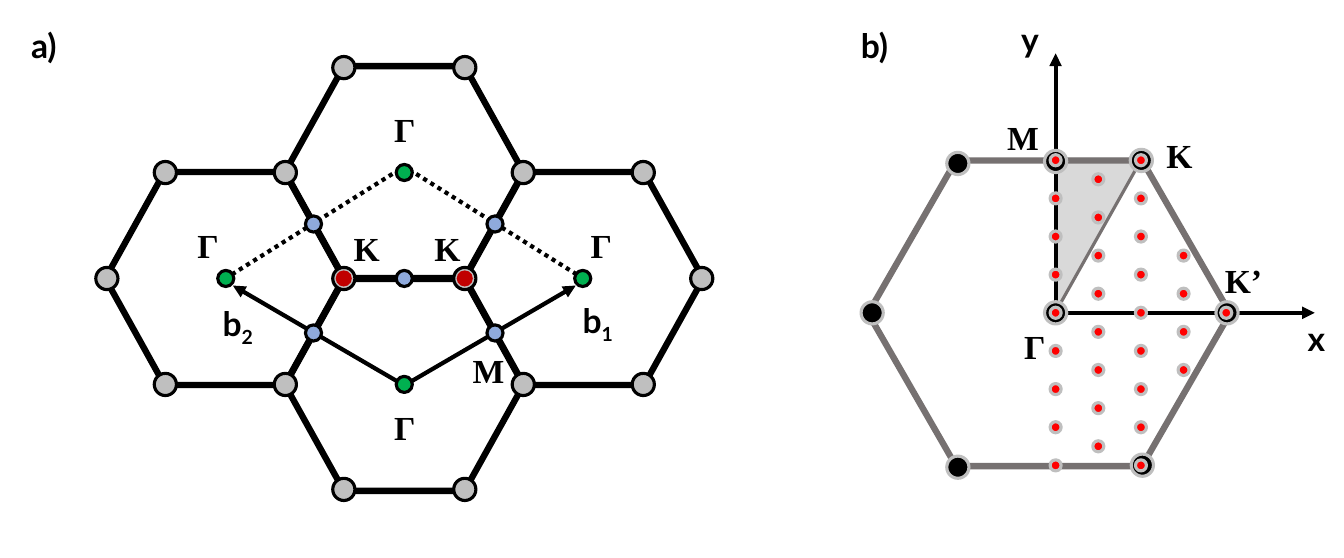
from dataclasses import dataclass
from lxml.etree import SubElement
from pptx import Presentation
from pptx.dml.color import RGBColor
from pptx.enum.dml import MSO_LINE
from pptx.enum.shapes import MSO_CONNECTOR, MSO_SHAPE
from pptx.enum.text import MSO_AUTO_SIZE
from pptx.oxml.ns import qn
from pptx.util import Inches, Pt


@dataclass(frozen=True)
class Theme:
    black: str = "000000"
    gray: str = "BFBFBF"
    pale: str = "D9D9D9"
    edge: str = "767171"
    green: str = "00B050"
    blue: str = "8FAADC"
    dark: str = "C00000"
    red: str = "FF0000"
    sans: str = "Lato"
    serif: str = "Times New Roman"
    size: float = 24
    thin: float = 2.25
    mid: float = 3
    bold: float = 4.5


THEME = Theme()


def mirror(x, y):
    """All distinct reflections of a point in both axes."""
    return sorted({(a, b) for a in (-x, x) for b in (-y, y)})


class Panel:
    """Draws parts by their offset from the centre of a box."""

    def __init__(self, slide, left, top, width, height):
        self.shapes = slide.shapes
        self.x = left + width / 2
        self.y = top + height / 2

    def place(self, x, y):
        return Inches(self.x + x), Inches(self.y + y)

    def shape(self, kind, x, y, width, height, fill=None, line=None, weight=THEME.thin):
        item = self.shapes.add_shape(
            kind, *self.place(x, y), Inches(width), Inches(height))
        item.shadow.inherit = False
        if fill:
            item.fill.solid()
            item.fill.fore_color.rgb = RGBColor.from_string(fill)
        else:
            item.fill.background()
        if line:
            item.line.color.rgb = RGBColor.from_string(line)
            item.line.width = Pt(weight)
        else:
            item.line.fill.background()
        return item

    def dots(self, points, size, fill, line=None):
        for x, y in points:
            self.shape(MSO_SHAPE.OVAL, x - size / 2, y - size / 2,
                       size, size, fill, line)

    def hexagon(self, x, y, width, height, adj, line):
        item = self.shape(MSO_SHAPE.HEXAGON, x, y, width, height,
                          line=line, weight=THEME.bold)
        item.adjustments[0] = adj

    def line(self, start, end, arrow=False):
        item = self.shapes.add_connector(
            MSO_CONNECTOR.STRAIGHT, *self.place(*start), *self.place(*end))
        item.line.color.rgb = RGBColor.from_string(THEME.black)
        item.line.width = Pt(THEME.mid)
        props = item.element.spPr
        if arrow:
            SubElement(props.find(qn("a:ln")), qn("a:tailEnd"), type="triangle")
        else:
            item.line.dash_style = MSO_LINE.ROUND_DOT
        SubElement(props, qn("a:effectLst"))

    def label(self, text, x, y, width, font=THEME.serif, sub=None):
        box = self.shapes.add_textbox(
            *self.place(x, y), Inches(width), Inches(0.5))
        frame = box.text_frame
        frame.word_wrap = False
        frame.auto_size = MSO_AUTO_SIZE.SHAPE_TO_FIT_TEXT
        para = frame.paragraphs[0]
        para.font.name = font
        para.font.size = Pt(THEME.size)
        para.font.bold = True
        para.font.color.rgb = RGBColor.from_string(THEME.black)
        para.add_run().text = text
        if sub:
            run = para.add_run()
            run.text = sub
            run._r.get_or_add_rPr().set("baseline", "-25000")


def draw_cells(slide, *box):
    panel = Panel(slide, *box)

    # Reciprocal cell and its vectors
    for side in (-1, 1):
        panel.line((side * 1.71, -0.04), (side * 0.08, -1.06))
        panel.line((0, 1.06), (side * 1.7, 0.07), arrow=True)

    # Four hexagons
    width, height = 2.37, 2.11
    for x, y in mirror(1.78, 0) + mirror(0, 1.05):
        panel.hexagon(x - width / 2, y - height / 2, width, height,
                      0.278, THEME.black)

    # Corners, centres, edge midpoints and K points
    for x, y in ((1.18, 1.05), (2.37, 1.05), (0.6, 2.09), (2.95, 0), (0.6, 0)):
        panel.dots(mirror(x, y), 0.22, THEME.gray, THEME.black)
    panel.dots(mirror(0, 1.05) + mirror(1.77, 0), 0.16, THEME.green, THEME.black)
    panel.dots([(0, 0)] + mirror(0.9, 0.54), 0.16, THEME.blue, THEME.black)
    panel.dots(mirror(0.6, 0), 0.16, THEME.dark)

    # Labels
    panel.label("a)", -3.8, -2.56, 0.56, THEME.sans)
    panel.label("b", 1.67, 0.16, 0.56, THEME.sans, "1")
    panel.label("b", -1.9, 0.19, 0.56, THEME.sans, "2")
    for x, y in ((-0.2, 1.22), (-0.2, -1.73), (-2.15, -0.58), (1.75, -0.58)):
        panel.label("Γ", x, y, 0.42)
    panel.label("M", 0.58, 0.66, 0.52)
    for x in (-0.6, 0.2):
        panel.label("K", x, -0.55, 0.46)


def draw_zone(slide, *box):
    panel = Panel(slide, *box)

    # Wedge, zone outline and axes
    wedge = panel.shape(MSO_SHAPE.RIGHT_TRIANGLE, 0, -1.52, 0.85, 1.51,
                        THEME.pale, THEME.edge)
    wedge.rotation = 180
    wedge.element.spPr.find(qn("a:xfrm")).set("flipH", "1")
    panel.hexagon(-1.86, -1.51, 3.59, 3.03, 0.288, THEME.edge)
    for end in ((2.57, 0), (0, -2.57)):
        panel.line((0, 0), end, arrow=True)

    # Corners and symmetry points
    nodes = [(0, 0), (-0.97, -1.48), (-1.82, 0), (-0.97, 1.53),
             (0.86, 1.51), (0.85, -1.51), (1.7, 0), (0, -1.5)]
    panel.dots(nodes, 0.22, THEME.black, THEME.gray)

    # Labels
    panel.label("b)", -2.03, -2.9, 0.57, THEME.sans)
    panel.label("Γ", -0.41, 0.08, 0.42)
    panel.label("M", -0.58, -1.99, 0.52)
    panel.label("K", 1, -1.81, 0.46)
    panel.label("K’", 1.58, -0.57, 0.58)
    panel.label("y", -0.44, -2.96, 0.4, THEME.sans)
    panel.label("x", 2.4, 0, 0.41, THEME.sans)

    # Sampling grid, each column centred on the x axis
    for col, count in enumerate((9, 8, 9, 4, 1)):
        points = [(col * 0.423, (row - (count - 1) / 2) * 0.378)
                  for row in range(count)]
        panel.dots(points, 0.11, THEME.red, THEME.gray)


def main():
    deck = Presentation()
    deck.slide_width, deck.slide_height = Inches(13.33), Inches(5.53)
    slide = deck.slides.add_slide(deck.slide_layouts[6])
    draw_cells(slide, 1.05, 0.66, 5.92, 4.2)
    draw_zone(slide, 8.61, 1.59, 3.72, 3.02)
    deck.save("out.pptx")


if __name__ == "__main__":
    main()
